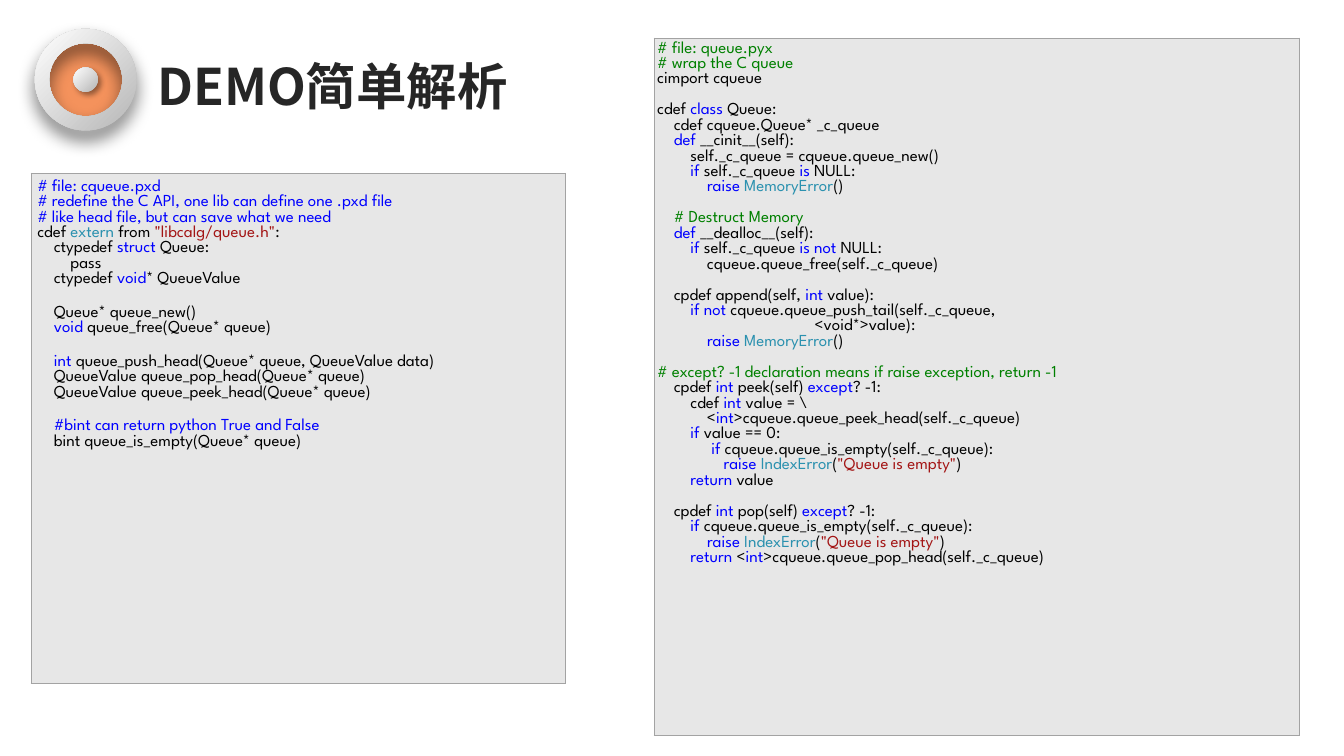
import lxml.etree
import pptx
import pptx.dml.color
import pptx.enum.shapes
import pptx.enum.text
import pptx.oxml.ns
import pptx.util

RGBColor = pptx.dml.color.RGBColor
SHAPE = pptx.enum.shapes.MSO_SHAPE
qn = pptx.oxml.ns.qn

ORANGE = RGBColor(0xF4, 0x92, 0x5C)
SILVER = RGBColor(0xBF, 0xBF, 0xBF)
WHITE = RGBColor(0xFF, 0xFF, 0xFF)
INK = RGBColor(0x26, 0x26, 0x26)
PANEL = RGBColor(0xE7, 0xE7, 0xE7)
BORDER = RGBColor(0xA3, 0xA3, 0xA3)
SHADE = RGBColor(0x00, 0x00, 0x00)
PLAIN = RGBColor(0x00, 0x00, 0x00)
KEYWORD = RGBColor(0x00, 0x00, 0xFF)
TYPE = RGBColor(0x2B, 0x91, 0xAF)
STRING = RGBColor(0xA3, 0x15, 0x15)
COMMENT = RGBColor(0x00, 0x80, 0x00)

# In the code below, "~" and one of these letters starts a new colour.
SYNTAX = {"N": PLAIN, "K": KEYWORD, "T": TYPE, "S": STRING, "C": COMMENT}

HEADER_CODE = r'''~K# file: cqueue.pxd
~K# redefine the C API, one lib can define one .pxd file
~K# like head file, but can save what we need
cdef ~Textern~N from ~S"libcalg/queue.h"~N:
    ctypedef ~Kstruct~N Queue:
        pass
    ctypedef ~Kvoid~N* QueueValue

    Queue* queue_new()
    ~Kvoid~N queue_free(Queue* queue)

    ~Kint~N queue_push_head(Queue* queue, QueueValue data)
    QueueValue queue_pop_head(Queue* queue)
    QueueValue queue_peek_head(Queue* queue)

    ~K#bint can return python True and False
    bint queue_is_empty(Queue* queue)'''

LIFETIME_CODE = r'''~C# file: queue.pyx
~C# wrap the C queue
cimport cqueue

cdef ~Kclass~N Queue:
    cdef cqueue.Queue* _c_queue
    ~Kdef~N __cinit__(self):
        self._c_queue = cqueue.queue_new()
        ~Kif~N self._c_queue ~Kis~N NULL:
            ~Kraise ~TMemoryError~N()

    ~C# Destruct Memory
    ~Kdef~N __dealloc__(self):
        ~Kif~N self._c_queue ~Kis not~N NULL:
            cqueue.queue_free(self._c_queue)
'''

ACCESS_CODE = r'''    cpdef append(self, ~Kint~N value):
        ~Kif not~N cqueue.queue_push_tail(self._c_queue,
                                      <void*>value):
            ~Kraise ~TMemoryError~N()

~C# except? -1 declaration means if raise exception, return -1
    cpdef ~Kint~N peek(self) ~Kexcept~N? -1:
        cdef ~Kint~N value = \
            <~Kint~N>cqueue.queue_peek_head(self._c_queue)
        ~Kif~N value == 0:
             ~Kif ~Ncqueue.queue_is_empty(self._c_queue):
                ~Kraise ~TIndexError~N(~S"Queue is empty"~N)
        ~Kreturn~N value
'''

POP_CODE = r'''    cpdef ~Kint~N pop(self) ~Kexcept~N? -1:
        ~Kif~N cqueue.queue_is_empty(self._c_queue):
            ~Kraise ~TIndexError~N(~S"Queue is empty"~N)
        ~Kreturn~N <~Kint~N>cqueue.queue_pop_head(self._c_queue)'''


class SlideBuilder:
    """Places elements on a grid of 160 columns by 90 rows."""

    columns, rows = 160, 90
    title_font = "Noto Sans CJK SC"
    code_font = "League Spartan"
    code_size = 12

    def __init__(self, deck):
        self.deck = deck
        self.slide = deck.slides.add_slide(deck.slide_layouts[5])

    def place(self, left, top, width, height):
        column = self.deck.slide_width / self.columns
        row = self.deck.slide_height / self.rows
        return [pptx.util.Emu(round(length)) for length in
                (left * column, top * row, width * column, height * row)]

    def add_run(self, para, text, font, size, color, bold=False):
        span = para.add_run()
        span.text = text
        span.font.name = font
        span.font.size = pptx.util.Pt(size)
        span.font.bold = bold
        span.font.color.rgb = color
        return span

    def title(self, text, *area):
        box = self.slide.shapes.title
        box.left, box.top, box.width, box.height = self.place(*area)
        frame = box.text_frame
        frame.word_wrap = False
        frame.auto_size = pptx.enum.text.MSO_AUTO_SIZE.SHAPE_TO_FIT_TEXT
        frame.vertical_anchor = pptx.enum.text.MSO_ANCHOR.TOP
        para = frame.paragraphs[0]
        para.alignment = pptx.enum.text.PP_ALIGN.LEFT
        span = self.add_run(para, text, self.title_font, 36, INK, bold=True)
        east_asian = lxml.etree.SubElement(span.font._element, qn("a:ea"))
        east_asian.set("typeface", self.title_font)

    def disc(self, kind, center, diameter):
        x, y = center
        area = self.place(x - diameter / 2, y - diameter / 2, diameter, diameter)
        shape = self.slide.shapes.add_shape(kind, *area)
        shape.line.fill.background()
        shape.shadow.inherit = False
        return shape

    def flat_disc(self, center, diameter, color):
        shape = self.disc(SHAPE.OVAL, center, diameter)
        shape.fill.solid()
        shape.fill.fore_color.rgb = color

    def metal_disc(self, kind, center, diameter, shadow, ring=None):
        """Silver disc; shadow is opacity %, blur pt, distance pt, angle."""
        shape = self.disc(kind, center, diameter)
        if ring is not None:
            shape.adjustments[0] = ring
        shape.rotation = 180
        shape.fill.gradient()
        shape.fill.gradient_angle = 315
        stops = zip(shape.fill.gradient_stops, (0.12, 1), (SILVER, WHITE))
        for stop, position, color in stops:
            stop.position = position
            stop.color.rgb = color
        opacity, blur, distance, angle = shadow
        effects = shape._element.spPr.find(qn("a:effectLst"))
        outer = lxml.etree.SubElement(
            effects, qn("a:outerShdw"), blurRad=str(pptx.util.Pt(blur)),
            dist=str(pptx.util.Pt(distance)), dir=str(angle * 60000),
            algn="ctr", rotWithShape="0")
        tint = lxml.etree.SubElement(outer, qn("a:srgbClr"), val=str(SHADE))
        lxml.etree.SubElement(tint, qn("a:alpha"), val=str(opacity * 1000))

    def code_panel(self, code, area, inset, blank_size):
        """One-cell table of coloured code; blank_size is for empty lines."""
        table = self.slide.shapes.add_table(1, 1, *self.place(*area)).table
        table.first_row = table.horz_banding = False
        cell = table.cell(0, 0)
        self.outline(cell)
        cell.fill.solid()
        cell.fill.fore_color.rgb = PANEL
        cell.margin_left = cell.margin_right = pptx.util.Inches(inset)
        cell.margin_top = cell.margin_bottom = pptx.util.Inches(inset)
        frame = cell.text_frame
        for number, line in enumerate(code.split("\n")):
            para = frame.add_paragraph() if number else frame.paragraphs[0]
            size = self.code_size if line else blank_size
            for part in ("~N" + (line or " ")).split("~")[1:]:
                if part[1:]:
                    self.add_run(para, part[1:], self.code_font, size, SYNTAX[part[0]])

    def outline(self, cell):
        properties = cell._tc.get_or_add_tcPr()
        for side in ("a:lnL", "a:lnR", "a:lnT", "a:lnB"):
            edge = lxml.etree.SubElement(properties, qn(side), w=str(pptx.util.Pt(1)))
            fill = lxml.etree.SubElement(edge, qn("a:solidFill"))
            lxml.etree.SubElement(fill, qn("a:srgbClr"), val=str(BORDER))


def main():
    deck = pptx.Presentation()
    deck.slide_width = pptx.util.Inches(13.33)
    deck.slide_height = pptx.util.Inches(7.5)
    page = SlideBuilder(deck)

    button_center = (10.2, 9.48)
    page.flat_disc(button_center, 9.5, ORANGE)
    page.metal_disc(SHAPE.OVAL, button_center, 2.9, (40, 4, 3, 45))
    page.metal_disc(SHAPE.DONUT, button_center, 12.1, (54, 13, 7, 90), ring=0.14)

    page.title("DEMO简单解析", 17.5, 5.9, 47.9, 8.5)
    page.code_panel(HEADER_CODE, (3.72, 20.64, 63.6, 60.72), 0.06, 14)
    wrapper_code = "\n".join([LIFETIME_CODE, ACCESS_CODE, POP_CODE])
    page.code_panel(wrapper_code, (77.88, 4.56, 76.8, 83.04), 0.03, 12)
    deck.save("out.pptx")


if __name__ == "__main__":
    main()
